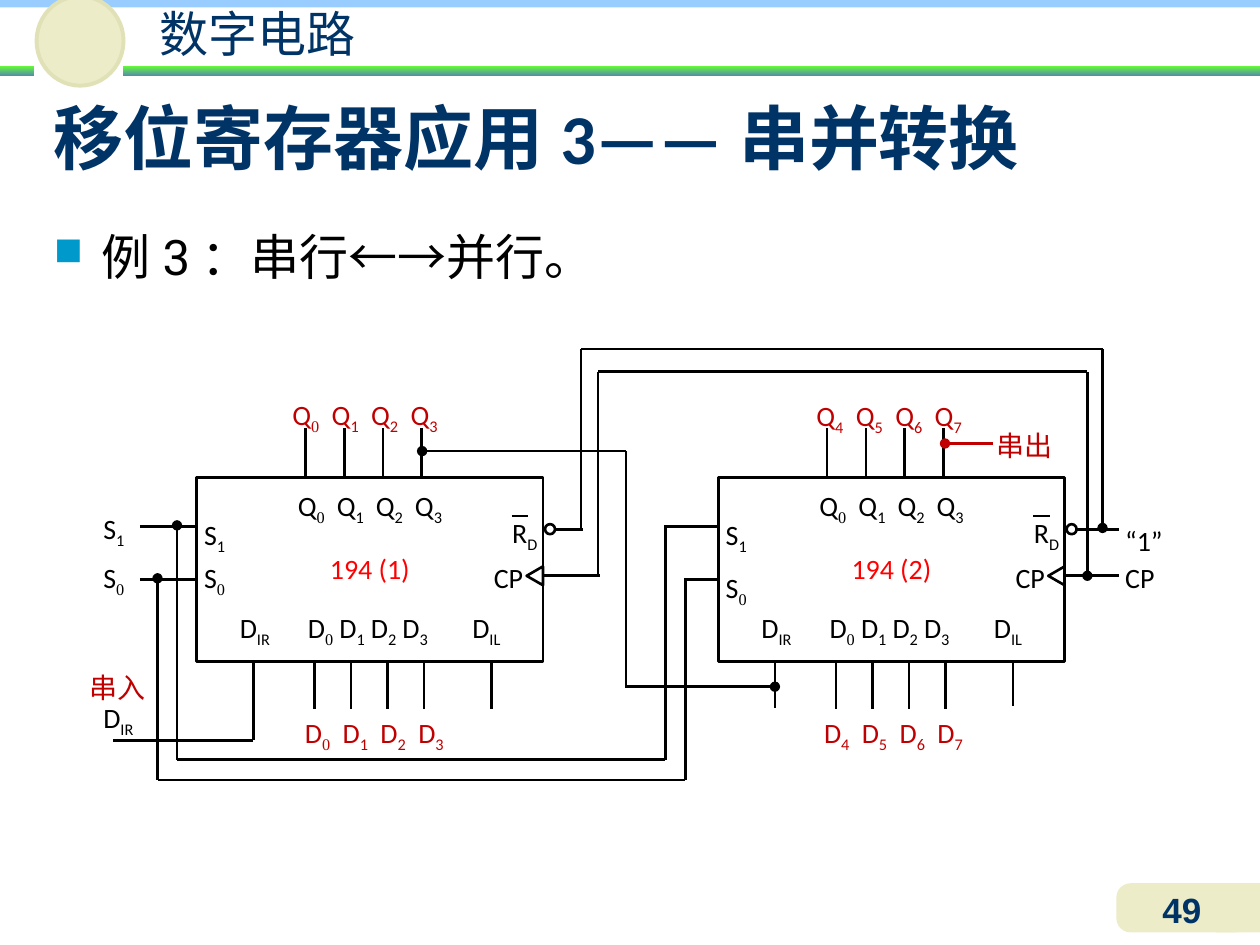
from lxml.etree import SubElement
from pptx import Presentation
from pptx.dml.color import RGBColor
from pptx.enum.shapes import MSO_CONNECTOR as Link, MSO_SHAPE as Form
from pptx.enum.text import MSO_ANCHOR as Anchor, PP_ALIGN as Align
from pptx.oxml.ns import qn
from pptx.util import Inches, Pt

HUES = {
    "ink": "000000", "navy": "003366", "red": "FF0000", "wine": "C00000",
    "cream": "ECECC8", "rim": "E1E1B7", "sky": "99CCFF", "mark": "0099CC",
    "lime": "66FF33", "teal": "5490A8",
}


def hue(name):
    return RGBColor.from_string(HUES[name])


class Board:
    """Draws on one slide; lengths are cells of a grid 100 wide and 75 high."""

    face, size, weight, lead = "Calibri", 16, 1.5, 1.12

    def __init__(self):
        self.deck = Presentation()
        self.deck.slide_width, self.deck.slide_height = Inches(10), Inches(7.5)
        self.slide = self.deck.slides.add_slide(self.deck.slide_layouts[6])
        self.unit = self.deck.slide_width / 100

    def cells(self, *nums):
        return [round(n * self.unit) for n in nums]

    def shape(self, form, box, fill=None, line=None, weight=None):
        item = self.slide.shapes.add_shape(form, *self.cells(*box))
        item.shadow.inherit = False
        if fill:
            item.fill.solid()
            item.fill.fore_color.rgb = hue(fill)
        else:
            item.fill.background()
        if line:
            item.line.color.rgb = hue(line)
            item.line.width = Pt(weight or self.weight)
        else:
            item.line.fill.background()
        return item

    def fade(self, box, *ends):
        item = self.shape(Form.RECTANGLE, box)
        item.fill.gradient()
        item.fill.gradient_angle = 270
        for stop, name in zip(item.fill.gradient_stops, ends):
            stop.color.rgb = hue(name)

    def wire(self, *points, dot=False, color="ink"):
        """Joins the points by straight lines, with a dot on the first one."""
        for start, end in zip(points, points[1:]):
            item = self.slide.shapes.add_connector(
                Link.STRAIGHT, *self.cells(*start, *end))
            item.line.color.rgb = hue(color)
            item.line.width = Pt(self.weight)
            if dot and start == points[0]:
                SubElement(item.line._get_or_add_ln(), qn("a:headEnd"), type="oval")
            SubElement(item._element.spPr, qn("a:effectLst"))

    def frame(self, item, inset=(0, 0), anchor=Anchor.TOP):
        frame = item.text_frame
        frame.word_wrap = True
        frame.vertical_anchor = anchor
        side, top = self.cells(*inset)
        frame.margin_left = frame.margin_right = side
        frame.margin_top = frame.margin_bottom = top
        return frame

    def box(self, place, inset=(0, 0), anchor=Anchor.TOP):
        item = self.slide.shapes.add_textbox(*self.cells(*place))
        return self.frame(item, inset, anchor)

    def para(self, frame, *parts, color="ink", size=None, face=None, bold=False,
             gap=0, lead=None, tabs=(), align=Align.LEFT, bullet=False):
        """Sets parts at tab stops; what follows "_" in a part is a subscript."""
        para = frame.paragraphs[0]
        if para.runs:
            para = frame.add_paragraph()
            para.space_before = Pt(gap)
        para.alignment = align
        para.line_spacing = lead or 1.0
        props = para._p.get_or_add_pPr()
        if bullet:
            props.set("marL", str(Inches(0.38)))
            props.set("indent", str(-Inches(0.38)))
            tint = SubElement(props, qn("a:buClr"))
            SubElement(tint, qn("a:srgbClr"), val=HUES["mark"])
            SubElement(props, qn("a:buSzPct"), val="80000")
            SubElement(props, qn("a:buChar"), char="■")
        if tabs:
            stops = SubElement(props, qn("a:tabLst"))
            for stop in self.cells(*tabs):
                SubElement(stops, qn("a:tab"), pos=str(stop), algn="l")
        font = para.font
        font.name, font.size = face or self.face, Pt(size or self.size)
        font.bold, font.color.rgb = bold, hue(color)
        for i, part in enumerate(parts):
            base, _, sub = part.partition("_")
            para.add_run().text = ("\t" if i else "") + base
            if sub:
                run = para.add_run()
                run.text = sub
                run._r.get_or_add_rPr().set("baseline", "-25000")
                if sub == "0":
                    run.font.name = "Times New Roman"
        return para

    def label(self, place, *parts, inset=(0, 0), **look):
        return self.para(self.box(place, inset), *parts, **look)

    def chip(self, x, name, gap, starts, ends, drop):
        """Draws a register at column x with its pins and labels."""
        top, base = 37.9, 52.5
        body = self.shape(Form.RECTANGLE, (x, top, 27.5, base - top), line="ink")
        text = self.frame(body, (1, 0.5))
        lead = self.lead
        self.para(text, "", *series("Q", 0), lead=lead,
                  tabs=[7.05 + 3.1 * i for i in range(4)])
        self.para(text, name, color="red", gap=12, lead=lead, align=Align.CENTER)
        self.para(text, "", "D_IR", *series("D", 0), "D_IL", gap=12, lead=lead,
                  tabs=(2.45, 7.85, 10.35, 12.85, 15.35, 20.9))
        for i in range(4):
            out, into = x + 8.65 + 3.07 * i, x + 9.35 + 2.9 * i
            self.wire((out, 34), (out, top))
            self.wire((into, base), (into, 56.3))
        self.wire((x + 23.4, base), (x + 23.4, drop))

        pad = (0.2, 0.1)
        side = self.box((x + 0.4, 40.6, 3.7, 6.9), pad)
        self.para(side, "S_1", lead=lead)
        self.para(side, "S_0", lead=lead, gap=gap)
        for start, y in zip(starts, (41.8, 46)):
            self.wire((start, y), (x, y))

        self.label((x + 23.4, 44.1, 3.7, 4.2), "CP", inset=pad, lead=lead)
        clock = self.shape(Form.ISOSCELES_TRIANGLE, (x + 26.1, 45.05, 1.5, 1.3),
                           line="ink")
        clock.rotation = 270
        self.shape(Form.OVAL, (x + 27.65, 41.6, 0.8, 0.8), line="ink")
        self.label((x + 24.85, 40.45, 3.1, 4.2), "R_D", inset=pad, lead=lead)
        self.wire((x + 25, 40.95), (x + 26.3, 40.95))
        clear, tick = ends
        self.wire((x + 28.45, 42), (clear, 42))
        self.wire((x + 27.5, 45.7), (tick, 45.7))


def series(letter, first):
    return [f"{letter}_{n}" for n in range(first, first + 4)]


def header(board):
    for box in ((9.8, 5.2, 90.2, 0.8), (0, 5.2, 2.7, 0.8)):
        board.fade(box, "lime", "teal")
    board.shape(Form.RECTANGLE, (96.5, 70.1, 3.5, 3.9), "cream")
    tab = board.shape(Form.ROUNDED_RECTANGLE, (88.6, 70.1, 10.5, 3.9), "cream")
    tab.adjustments[0] = 0.29
    board.shape(Form.RECTANGLE, (0, -0.2, 100, 0.8), "sky")
    board.shape(Form.OVAL, (2.9, -0.3, 6.9, 7.1), "cream", "rim", 2.25)
    board.label((9.8, 0.3, 21.3, 4.2), "数字电路", inset=(0.2, 0), color="navy",
                size=28, face="Arial", align=Align.CENTER)
    pad = (1, 0.5)
    title = board.para(board.box((3.3, 5.8, 94.5, 10), pad, Anchor.MIDDLE),
                       "移位寄存器应用", color="navy", size=40, face="Roboto",
                       bold=True)
    for words, face in (("3——", "Calibri"), ("串并转换", "Roboto")):
        run = title.add_run()
        run.text, run.font.name = words, face
    board.label((3.3, 17.5, 94.5, 11.3), "例3：串行←→并行。", inset=pad, size=28,
                face="Roboto", bullet=True)
    board.label((89.2, 70, 9.2, 3.3), "49", inset=pad, color="navy", size=20,
                face="Arial", bold=True, align=Align.CENTER)


def circuit(board):
    board.chip(15.6, "194 (1)", 0, (11.1, 11.1), (46.3, 47.6), 56.3)
    board.chip(57, "194 (2)", 6, (52.7, 54.3), (88.8, 88.8), 56)

    board.wire((20.1, 52.5), (20.1, 58.75), (9, 58.75))
    board.wire((61.5, 52.5), (61.5, 56.2))
    board.wire((33.5, 35.8), (49.7, 35.8), (49.7, 54.5))
    board.wire((61.5, 54.5), (49.6, 54.5), dot=True)
    board.wire((33.5, 35.8), (33.6, 35.8), dot=True)
    board.wire((12.5, 45.9), (12.5, 61.9), (54.4, 61.9), (54.4, 46), dot=True)
    board.wire((14.05, 41.7), (14.05, 60.3), (52.8, 60.3), (52.8, 41.8), dot=True)
    board.wire((86.3, 45.7), (86.3, 29.5), (47.45, 29.5), (47.45, 45.7), dot=True)
    board.wire((87.5, 41.9), (87.5, 27.7), (46.1, 27.7), (46.1, 41.9), dot=True)
    board.wire((75, 35.2), (78.8, 35.2), dot=True, color="wine")

    ports = board.box((8.2, 40.6, 2.8, 7))
    board.para(ports, "S_1")
    board.para(ports, "S_0", gap=6)
    feeds = board.box((89.1, 41.1, 4.2, 8.2), (0.2, 0.1))
    for name in ("“1”", "CP"):
        board.para(feeds, name, lead=board.lead)
    board.label((8.2, 55.6, 4.2, 4), "D_IR")

    for letter, first, x, y, step in (
            ("D", 0, 24.2, 56.4, 3), ("D", 4, 65.4, 56.4, 3),
            ("Q", 4, 64.8, 31.3, 3.13), ("Q", 0, 23.2, 31.2, 3.13)):
        board.label((x, y, 13.3, 3.1), *series(letter, first), color="wine",
                    lead=board.lead, tabs=[step * i for i in range(1, 4)])
    board.label((7.1, 53.2, 6, 3.1), "串入", color="wine")
    board.label((79.1, 34, 5.4, 2.8), "串出", color="wine")


def main():
    board = Board()
    header(board)
    circuit(board)
    board.deck.save("out.pptx")


if __name__ == "__main__":
    main()
